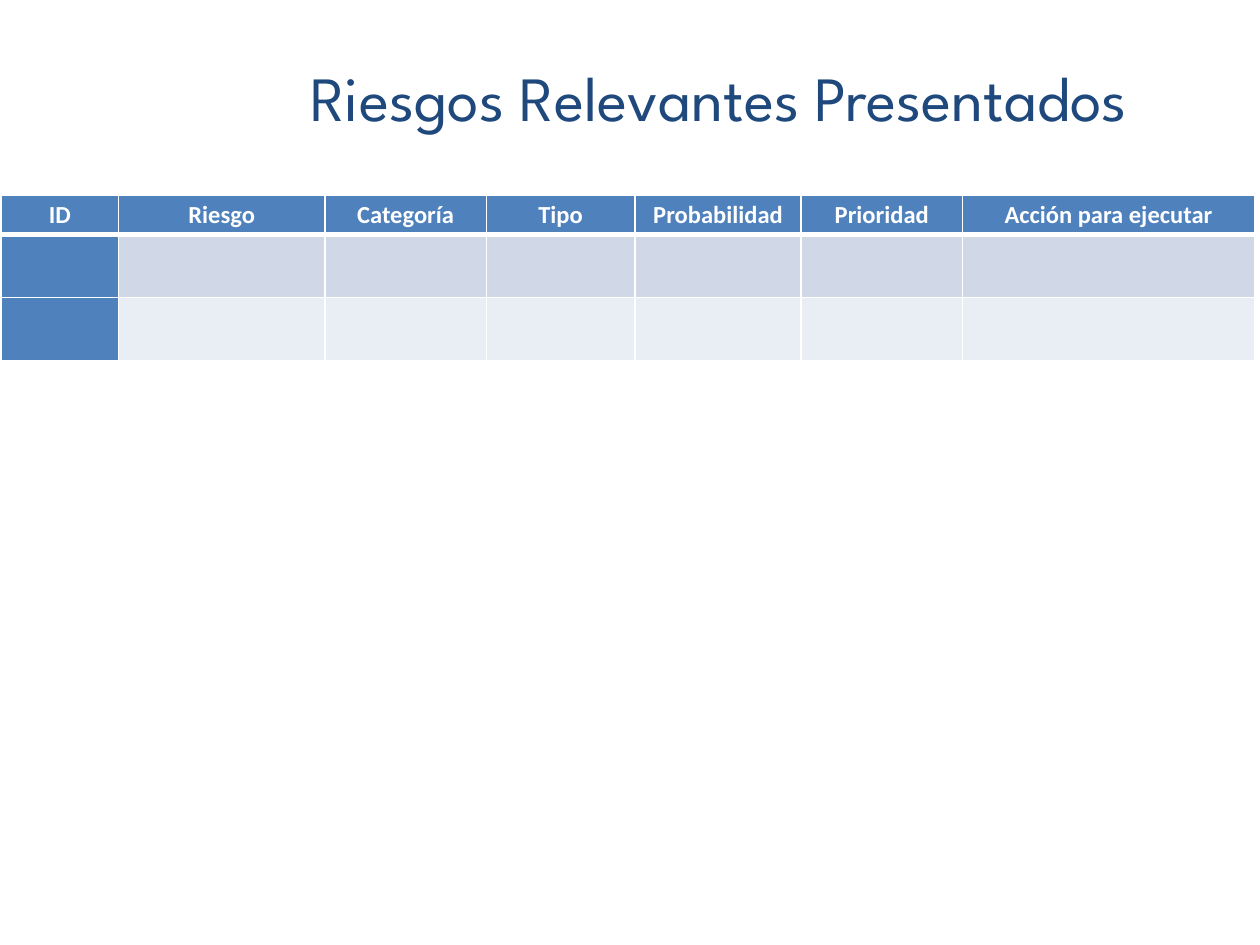
import pptx
import pptx.dml.color
import pptx.enum.text
import pptx.oxml
import pptx.oxml.ns
import pptx.util
from pptx.util import Inches

COLORS = {
    "background": "FFFFFF",
    "title": "1F497D",
    "header": "4F81BD",
    "header_text": "FFFFFF",
    "border": "FFFFFF",
    "odd_row": "D0D8E8",
    "even_row": "E9EDF4",
}
TITLE_FORMAT = {"name": "League Spartan", "size": pptx.util.Pt(36), "bold": False}
HEADER_FORMAT = {"name": "Calibri", "size": pptx.util.Pt(14), "bold": True}
HEADER_MARGINS = {
    "margin_left": Inches(0.05),
    "margin_right": Inches(0.05),
    "margin_top": 0,
    "margin_bottom": 0,
}

HEADINGS = ["ID", "Riesgo", "Categoría", "Tipo", "Probabilidad", "Prioridad",
            "Acción para ejecutar"]
COLUMN_WIDTHS = [0.93, 1.64, 1.28, 1.18, 1.32, 1.28, 2.32]
ROW_HEIGHTS = [0.31, 0.5, 0.5]


def rgb(color):
    return pptx.dml.color.RGBColor.from_string(COLORS[color])


class RiskSlide:
    """Holds the slide and the style of its elements."""

    def __init__(self, presentation):
        self.slide = presentation.slides.add_slide(presentation.slide_layouts[6])
        self.slide.background.fill.solid()
        self.slide.background.fill.fore_color.rgb = rgb("background")

    def centred_text(self, frame, text, font_format, color):
        paragraph = frame.paragraphs[0]
        paragraph.alignment = pptx.enum.text.PP_ALIGN.CENTER
        run = paragraph.add_run()
        run.text = text
        for attribute, value in font_format.items():
            setattr(run.font, attribute, value)
        run.font.color.rgb = rgb(color)

    def title(self, text, left, top, width, height):
        heading = self.slide.shapes.add_textbox(
            Inches(left), Inches(top), Inches(width), Inches(height))
        frame = heading.text_frame
        frame.word_wrap = True
        frame.vertical_anchor = pptx.enum.text.MSO_ANCHOR.MIDDLE
        self.centred_text(frame, text, TITLE_FORMAT, "title")

    def borders(self, cell, widths):
        properties = cell._tc.get_or_add_tcPr()
        for side, points in widths.items():
            properties.append(pptx.oxml.parse_xml(
                f'<a:ln{side} {pptx.oxml.ns.nsdecls("a")} w="{pptx.util.Pt(points)}">'
                f'<a:solidFill><a:srgbClr val="{COLORS["border"]}"/></a:solidFill>'
                f'</a:ln{side}>'))

    def table(self, headings, column_widths, row_heights, left, top):
        risks = self.slide.shapes.add_table(
            len(row_heights), len(column_widths), Inches(left), Inches(top),
            Inches(sum(column_widths)), Inches(sum(row_heights))).table
        for column, width in zip(risks.columns, column_widths):
            column.width = Inches(width)
        for row, height in zip(risks.rows, row_heights):
            row.height = Inches(height)

        for r, row in enumerate(risks.rows):
            for c, cell in enumerate(row.cells):
                # A thick rule parts the header from the rows below
                self.borders(cell, {"L": 1, "R": 1, "T": 3 if r == 1 else 1,
                                    "B": 3 if r == 0 else 1})
                band = "odd_row" if r % 2 else "even_row"
                cell.fill.solid()
                cell.fill.fore_color.rgb = rgb("header" if r == 0 or c == 0 else band)

        for cell, heading in zip(risks.rows[0].cells, headings):
            for attribute, value in HEADER_MARGINS.items():
                setattr(cell, attribute, value)
            cell.vertical_anchor = pptx.enum.text.MSO_ANCHOR.MIDDLE
            self.centred_text(cell.text_frame, heading, HEADER_FORMAT, "header_text")


def main():
    presentation = pptx.Presentation()
    presentation.slide_width = Inches(10)
    presentation.slide_height = Inches(7.5)
    risk_slide = RiskSlide(presentation)

    # Title
    risk_slide.title("Riesgos Relevantes Presentados", 1.69, 0.3, 8.03, 0.93)

    # Risk table, with empty rows to fill in
    risk_slide.table(HEADINGS, COLUMN_WIDTHS, ROW_HEIGHTS, 0.01, 1.55)

    presentation.save("out.pptx")


if __name__ == "__main__":
    main()
